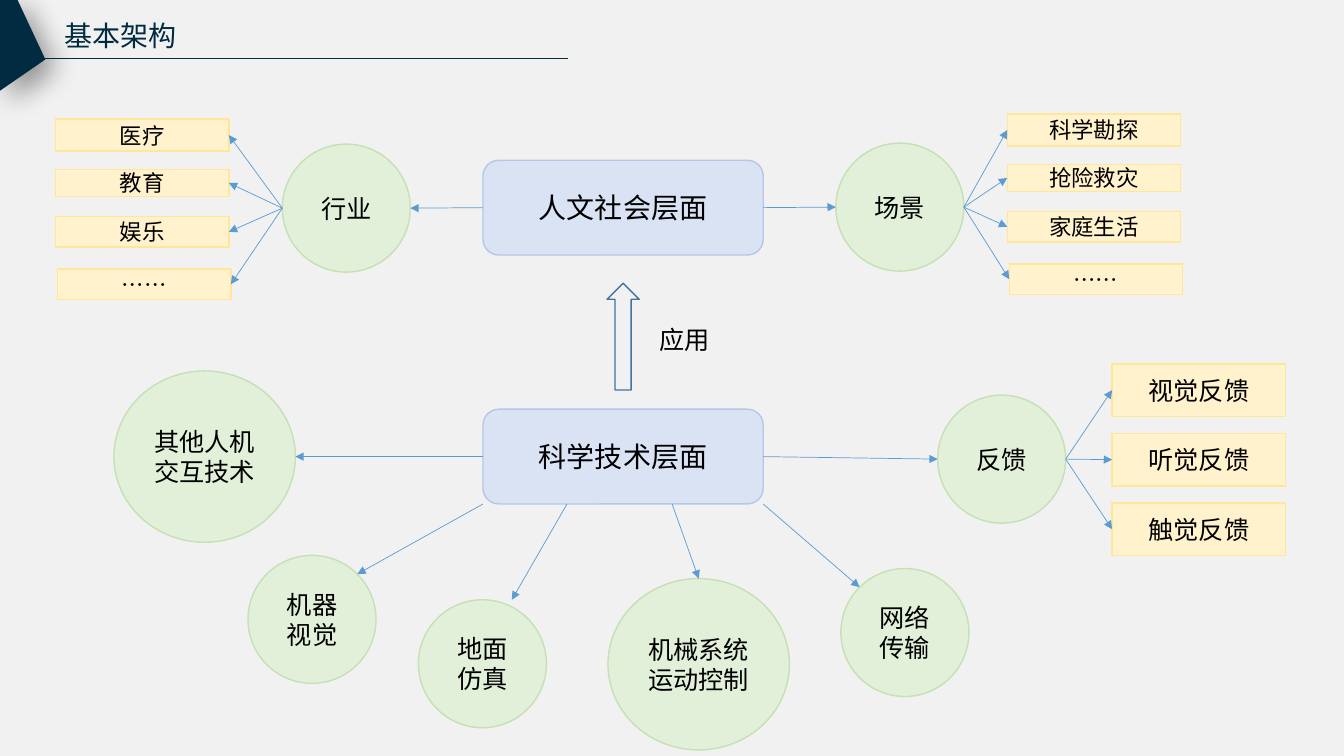
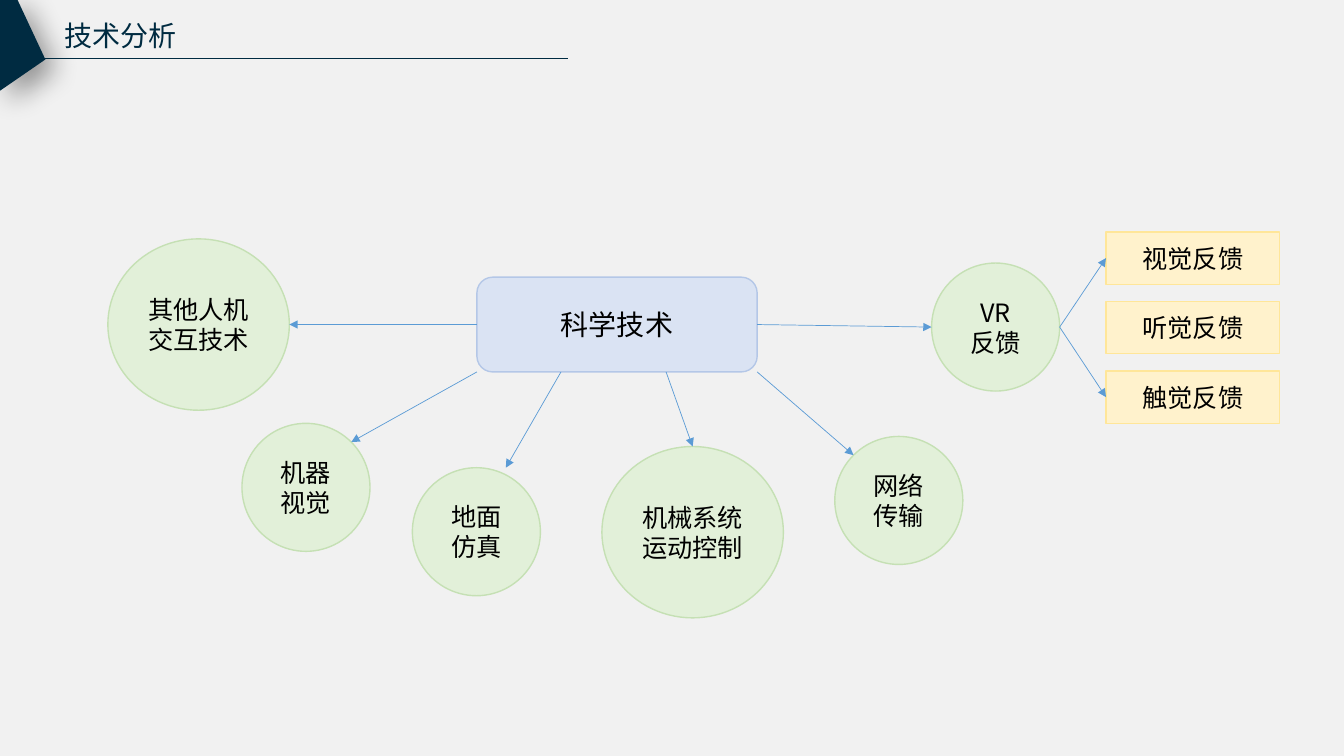
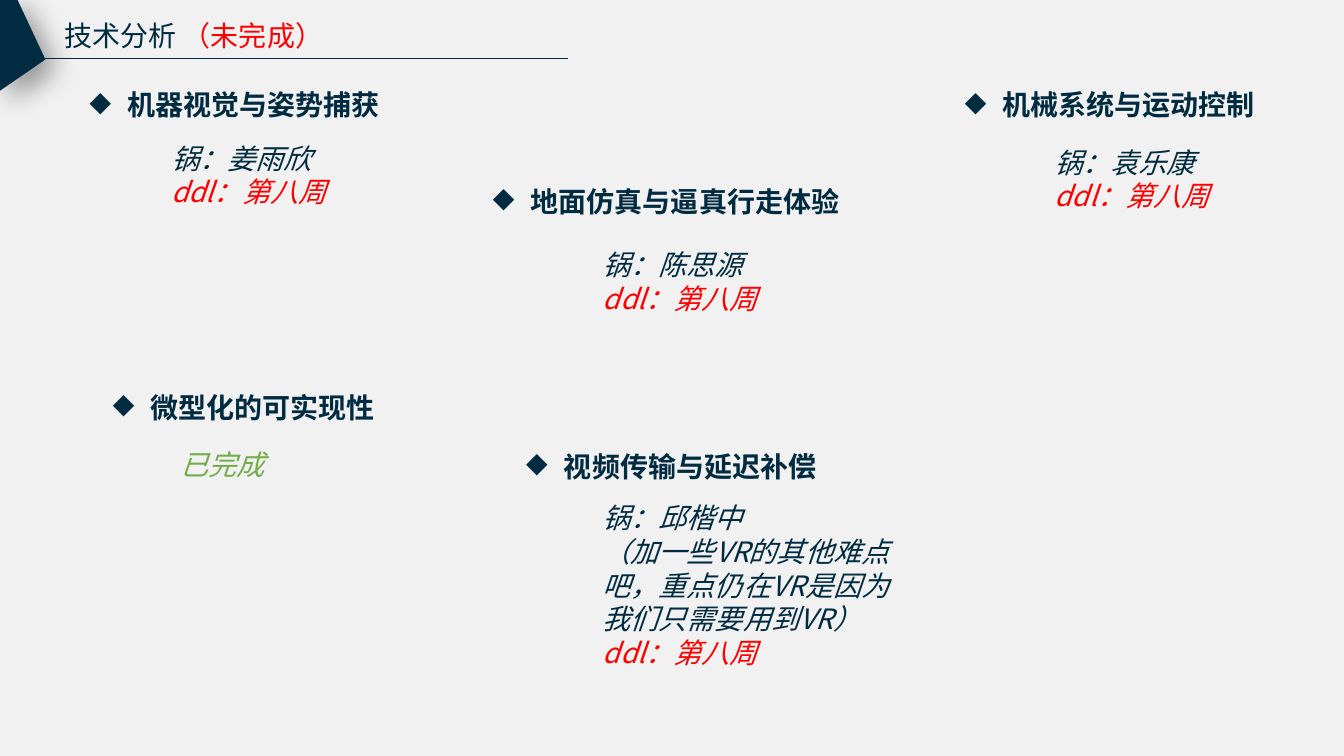
import pptx
import pptx.util
import pptx.dml.color
import pptx.enum.shapes
import pptx.enum.text
import pptx.oxml
import pptx.oxml.ns

WIDE, HIGH = 13.33, 7.5
FACE = "Noto Sans CJK SC"
NAVY, RED, LEAF, INK, PAPER = "002B41", "FF0000", "70AD47", "000000", "F1F1F1"
BLUE, EDGE = "5B9BD5", "43739E"

KIND = pptx.enum.shapes.MSO_SHAPE
LOOK = {
    "core": (KIND.ROUNDED_RECTANGLE, "DAE3F3", "B4C7E7", 20),
    "disc": (KIND.OVAL, "E2F0D9", "C5E0B4", 18),
    "tag": (KIND.RECTANGLE, "FFF2CC", "FFE699", 18),
}

CORE = (2.78, 0.94)
SMALL, LARGE = (1.27, 1.27), (1.8, 1.7)
TAG = 1.72
SLOPE = 0.146

BRANCH = [
    (["其他人机交互技术"], (1.13, 3.68), LARGE, (0, 0.5), (1, 0.5)),
    (["机器视觉"], (2.46, 5.51), SMALL, (0, 1), (1 - SLOPE, SLOPE)),
    (["地面仿真"], (4.15, 5.95), SMALL, (0.3, 1), (0.73, 0)),
    (["机械系统", "运动控制"], (6.03, 5.74), LARGE, (0.675, 1), (0.5, 0)),
    (["网络传输"], (8.34, 5.64), SMALL, (1, 1), (SLOPE, SLOPE)),
]
SENSE = ["视觉反馈", "听觉反馈", "触觉反馈"]

FIELD = [
    ("行业", (2.8, 1.43), 0, (0.55, 1.18), ["医疗", "教育", "娱乐", "……"]),
    ("场景", (8.29, 1.42), 1, (9.99, 1.13), ["科学勘探", "抢险救灾", "家庭生活", "……"]),
]
ROWS = [(0, 0, 0.32), (0, 0.5, 0.27), (0, 0.97, 0.3), (0.02, 1.49, 0.3)]

DUE = ("ddl：第八周", RED)
TASKS = [
    ("机器视觉与姿势捕获", (0.79, 0.82), 3.18, (1.6, 1.35), ["锅：姜雨欣", DUE]),
    ("地面仿真与逼真行走体验", (4.79, 1.78), 3.85, (5.88, 2.41), ["锅：陈思源", DUE]),
    ("机械系统与运动控制", (9.47, 0.82), 3.18, (10.36, 1.39), ["锅：袁乐康", DUE]),
    ("微型化的可实现性", (1.02, 3.82), 3.18, (1.69, 4.39), [("已完成", LEAF)]),
    ("视频传输与延迟补偿", (5.12, 4.41), 3.18, (5.88, 4.92),
     ["锅：邱楷中", "（加一些VR的其他难点吧，重点仍在VR是因为我们只需要用到VR）", DUE]),
]


def inch(*nums):
    return [pptx.util.Inches(n) for n in nums]


def tint(text):
    return pptx.dml.color.RGBColor.from_string(text)


def add_xml(home, tag, body="", **attrs):
    pairs = " ".join(f'{key}="{val}"' for key, val in attrs.items())
    names = pptx.oxml.ns.nsdecls("a")
    node = pptx.oxml.parse_xml(f"<a:{tag} {names} {pairs}>{body}</a:{tag}>")
    home.append(node)


def write(frame, lines, size, color=INK, center=False, **style):
    for num, line in enumerate(lines):
        text, hue = line if isinstance(line, tuple) else (line, color)
        para = frame.add_paragraph() if num else frame.paragraphs[0]
        para.text = text
        font = para.font
        font.size = pptx.util.Pt(size)
        font.color.rgb = tint(hue)
        font.name = FACE
        for key, val in style.items():
            setattr(font, key, val)
        add_xml(font._element, "ea", typeface=FACE)
        if center:
            para.alignment = pptx.enum.text.PP_ALIGN.CENTER


def add_text(slide, spot, size, lines, points, wrap=True, **style):
    frame = slide.shapes.add_textbox(*inch(*spot, *size)).text_frame
    frame.word_wrap = wrap
    write(frame, lines, points, **style)
    return frame


def add_node(slide, look, spot, size, lines, points=None):
    kind, fill, line, norm = LOOK[look]
    shape = slide.shapes.add_shape(kind, *inch(*spot, *size))
    shape.shadow.inherit = False
    shape.fill.solid()
    shape.fill.fore_color.rgb = tint(fill)
    shape.line.color.rgb = tint(line)
    shape.line.width = pptx.util.Pt(1)
    shape.text_frame.word_wrap = True
    write(shape.text_frame, lines, points or norm, center=True)
    return spot + size


def site(box, share):
    return [box[i] + box[i + 2] * share[i] for i in (0, 1)]


def add_line(slide, start, end, color, width, head=False):
    kind = pptx.enum.shapes.MSO_CONNECTOR.STRAIGHT
    line = slide.shapes.add_connector(kind, *inch(*start, *end))
    line.line.color.rgb = tint(color)
    line.line.width = pptx.util.Pt(width)
    if head:
        add_xml(line.line._get_or_add_ln(), "tailEnd", type="triangle")
    add_xml(line._element.spPr, "effectLst")


def link(slide, box, share, goal, spot):
    add_line(slide, site(box, share), site(goal, spot), BLUE, 0.5, True)


def add_page(deck, title, width=1.32, extra=None):
    slide = deck.slides.add_slide(deck.slide_layouts[6])
    frame = add_text(slide, (0.54, 0.13), (width, 0.44), [title], 20, False, color=NAVY)
    if extra:
        run = frame.paragraphs[0].add_run()
        run.text = extra
        run.font.color.rgb = tint(RED)
    first, *rest = [inch(*p) for p in [(0.17, -0.01), (0, -0.01), (0, 0.9), (0.45, 0.59)]]
    path = slide.shapes.build_freeform(*first)
    path.add_line_segments(rest)
    flag = path.convert_to_shape()
    flag.fill.solid()
    flag.fill.fore_color.rgb = tint(NAVY)
    flag.line.fill.background()
    shade = ('<a:outerShdw blurRad="254000" dist="127000" dir="2700000" algn="tl" rotWithShape="0">'
             '<a:srgbClr val="000000"><a:alpha val="40000"/></a:srgbClr></a:outerShdw>')
    add_xml(flag._element.spPr, "effectLst", shade)
    add_line(slide, (0.22, 0.58), (5.63, 0.58), NAVY, 0.63)
    return slide


def add_tech(slide, name, reply, aims, shift=(0, 0)):
    def move(x, y):
        return (x + shift[0], y + shift[1])

    core = add_node(slide, "core", move(4.79, 4.06), CORE, [name])
    for lines, spot, size, start, end in BRANCH:
        disc = add_node(slide, "disc", move(*spot), size, lines)
        link(slide, core, start, disc, end)
    hub = add_node(slide, "disc", move(9.3, 3.92), SMALL, reply)
    link(slide, core, (1, 0.5), hub, (0, 0.5))
    for num, text in enumerate(SENSE):
        tag = add_node(slide, "tag", move(11.03, 3.61 + 0.69 * num), (TAG, 0.52), [text])
        if num in aims:
            link(slide, hub, (1, 0.5), tag, (0, 0.5))


def add_social(slide):
    core = add_node(slide, "core", (4.79, 1.59), CORE, ["人文社会层面"])
    for name, spot, side, (left, top), tags in FIELD:
        disc = add_node(slide, "disc", spot, SMALL, [name])
        link(slide, core, (side, 0.5), disc, (1 - side, 0.5))
        for text, (dx, dy, high) in zip(tags, ROWS):
            tag = add_node(slide, "tag", (left + dx, top + dy), (TAG, high), [text], 16)
            link(slide, disc, (side, 0.5), tag, (1 - side, 0.5))
    arrow = slide.shapes.add_shape(KIND.UP_ARROW, *inch(6.02, 2.81, 0.32, 1.06))
    arrow.shadow.inherit = False
    arrow.fill.background()
    arrow.line.color.rgb = tint(EDGE)
    arrow.line.width = pptx.util.Pt(1)
    add_text(slide, (6.44, 3.17), (0.77, 0.4), ["应用"], 18)


def add_tasks(slide):
    for head, spot, width, place, lines in TASKS:
        frame = add_text(slide, spot, (width, 0.44), [head], 20, color=NAVY, bold=True)
        props = frame.paragraphs[0]._p.get_or_add_pPr()
        props.set("marL", "342900")
        props.set("indent", "-342900")
        add_xml(props, "buChar", char="◆")
        props.insert(0, props[-1])
        add_text(slide, place, (3.18, 0.1 + 0.33 * len(lines)), lines, 20, color=NAVY, italic=True)


def main():
    deck = pptx.Presentation()
    deck.slide_width, deck.slide_height = inch(WIDE, HIGH)
    back = deck.slide_master.background.fill
    back.solid()
    back.fore_color.rgb = tint(PAPER)
    plan = add_page(deck, "基本架构")
    add_tech(plan, "科学技术层面", ["反馈"], (0, 1, 2))
    add_social(plan)
    study = add_page(deck, "技术分析")
    add_tech(study, "科学技术", ["VR", "反馈"], (0, 2), (-0.06, -1.31))
    add_tasks(add_page(deck, "技术分析 ", 2.81, "（未完成）"))
    deck.save("out.pptx")


if __name__ == "__main__":
    main()
